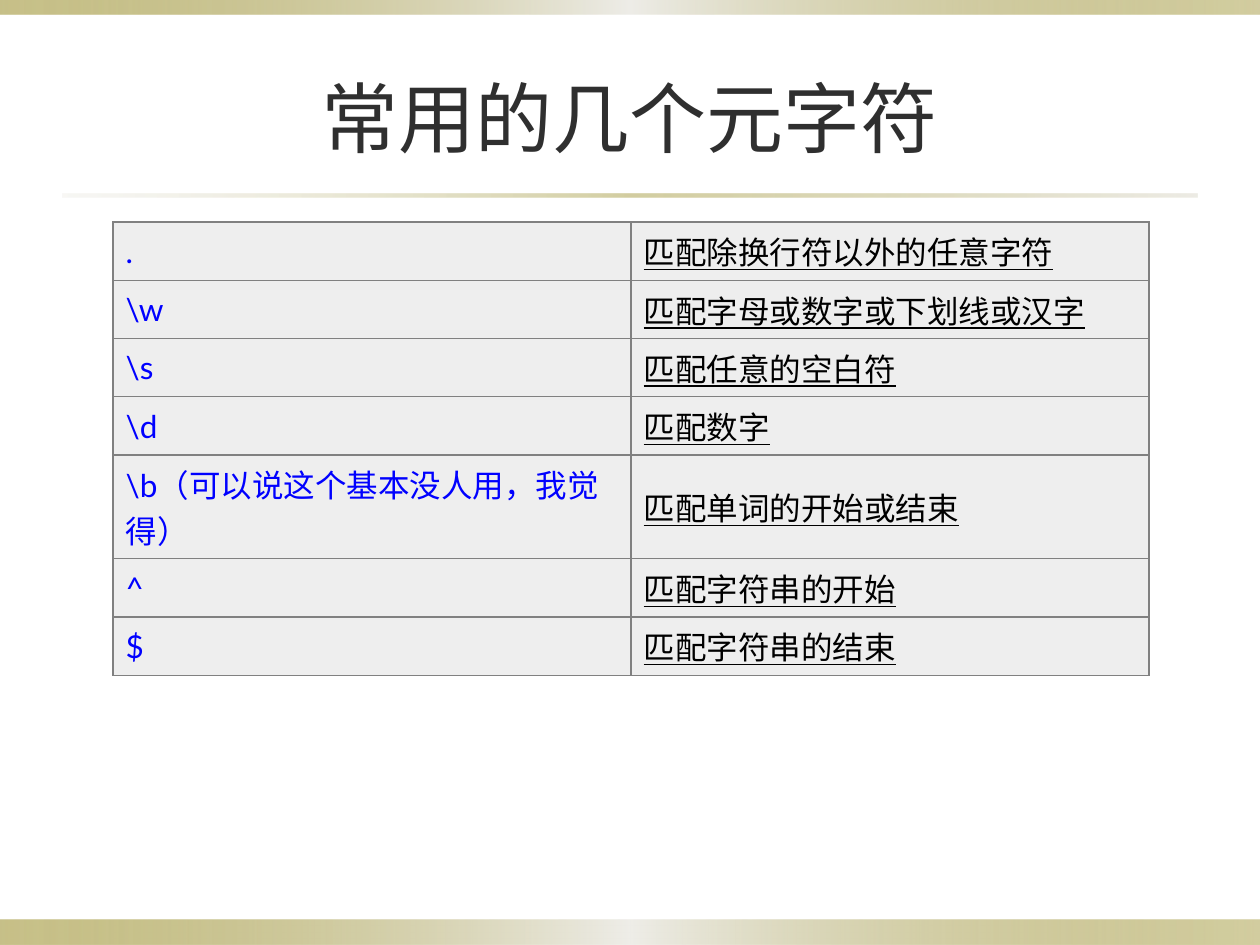
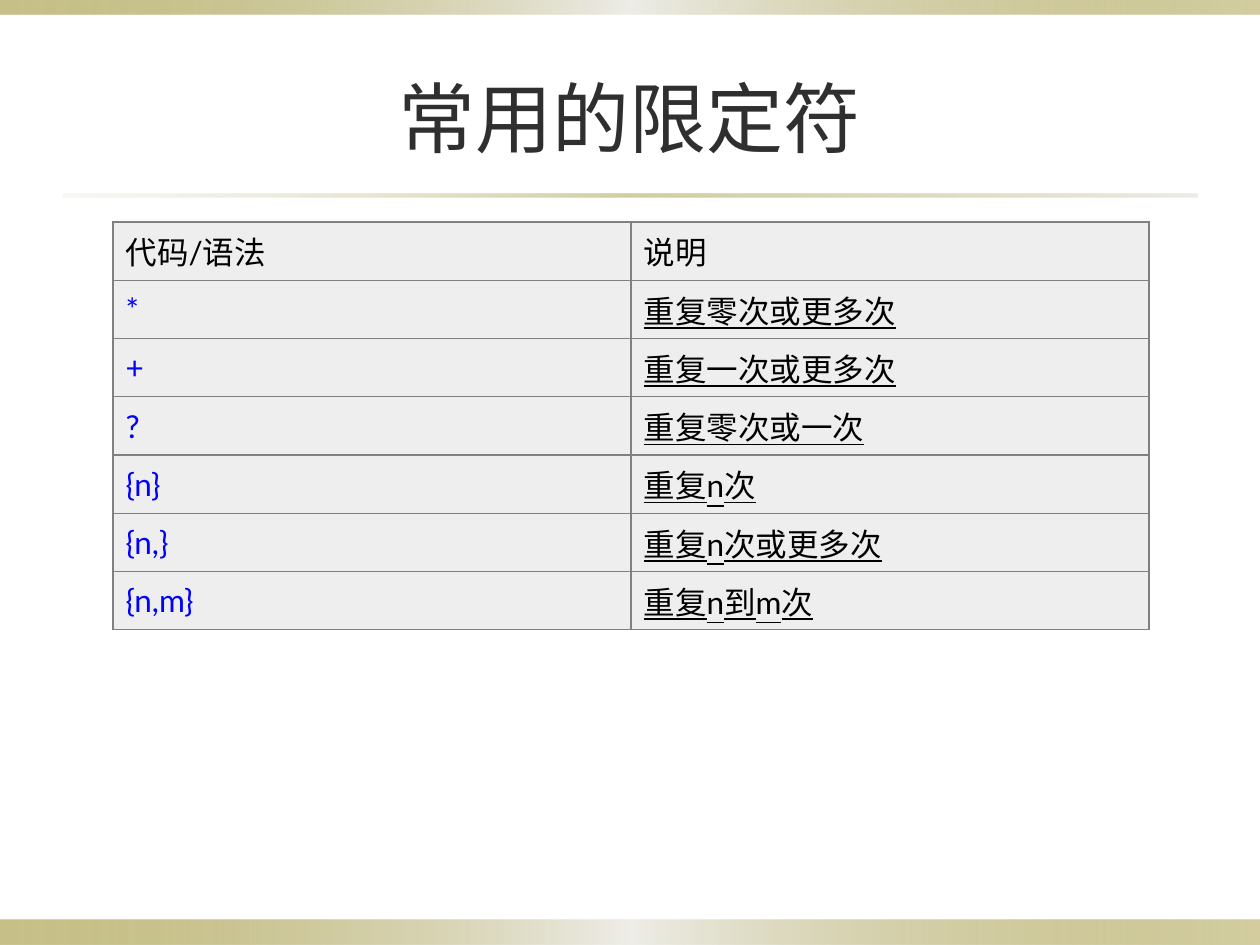
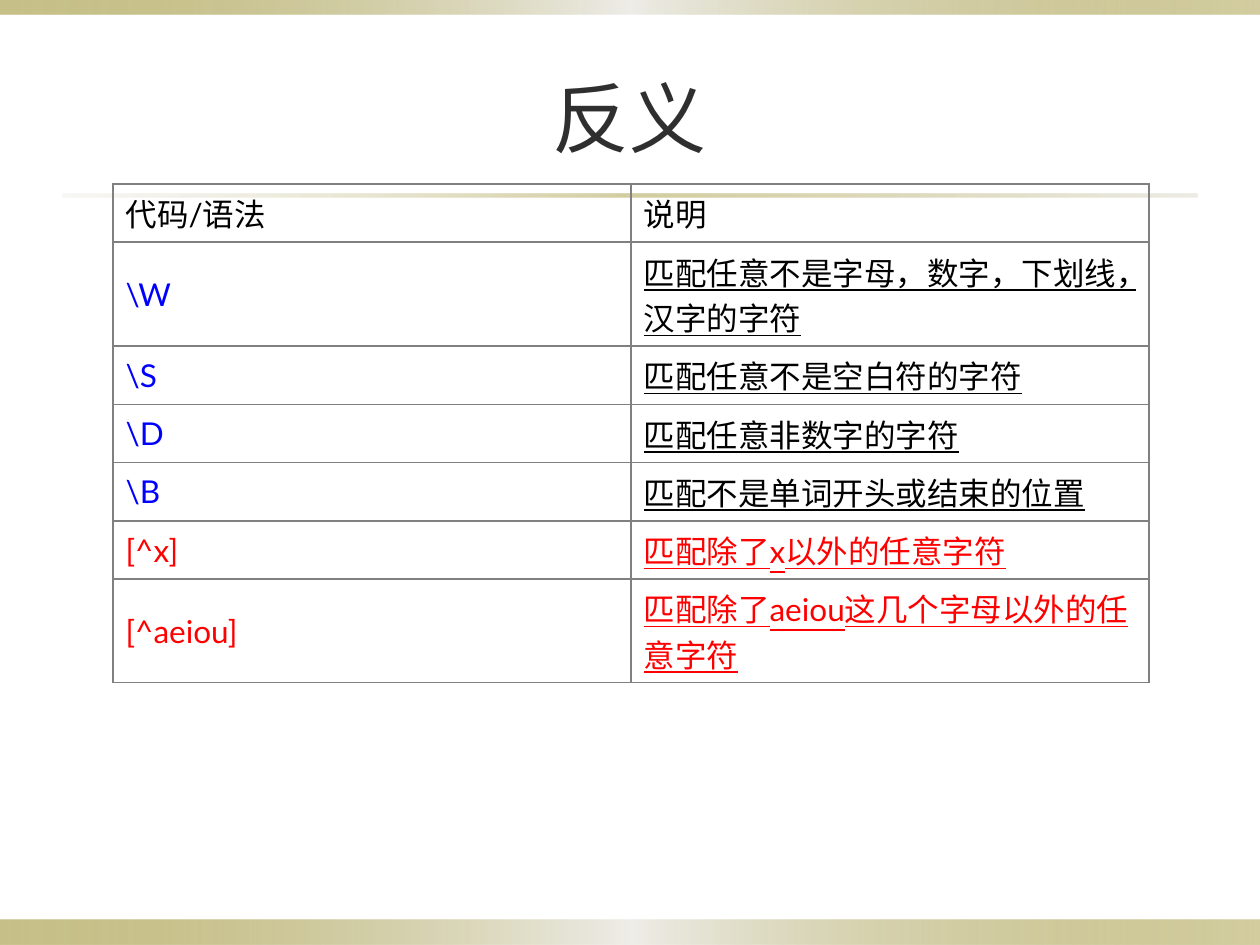
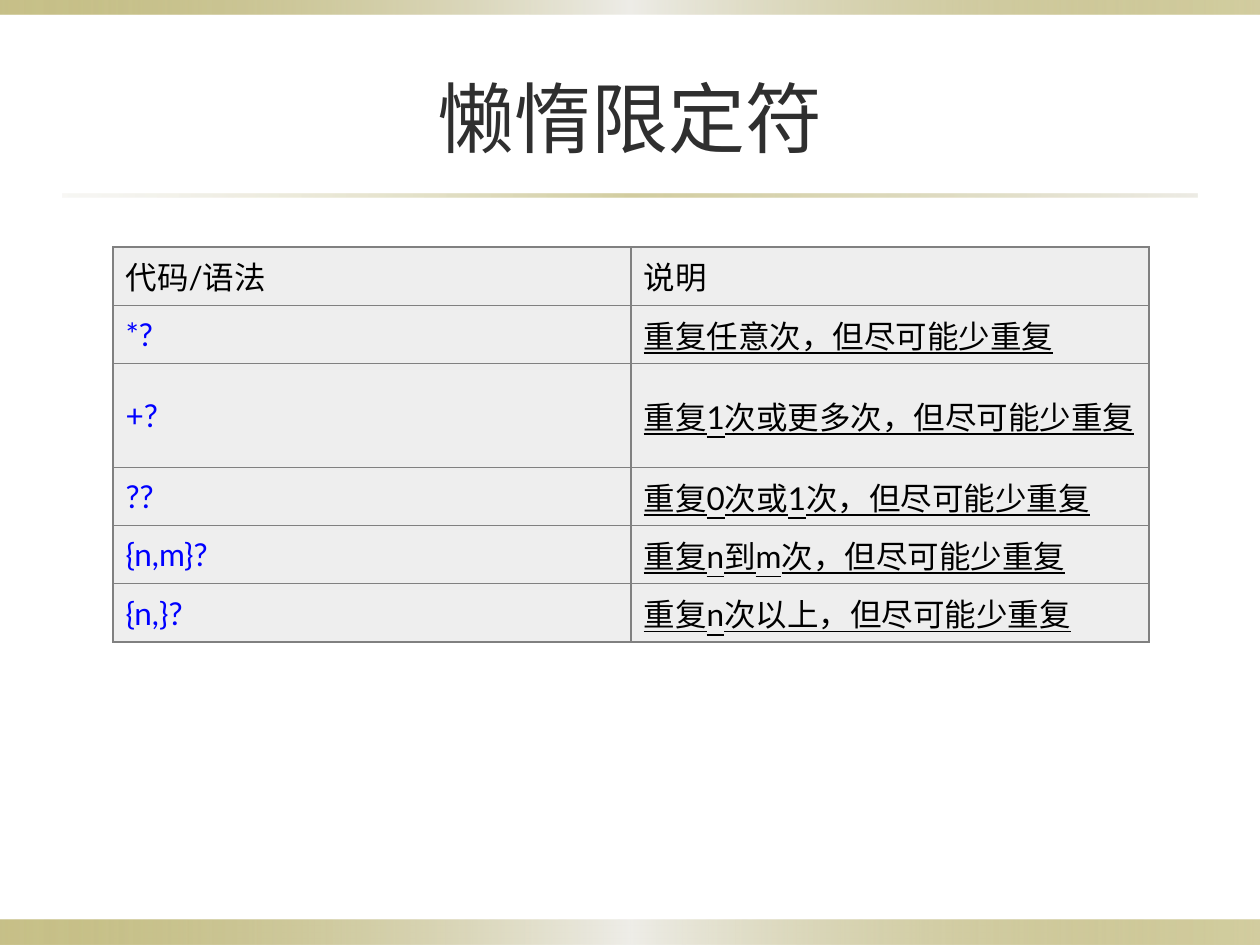
from dataclasses import dataclass

from lxml.etree import SubElement
from pptx import Presentation
from pptx.dml.color import RGBColor
from pptx.enum.shapes import MSO_SHAPE
from pptx.enum.text import MSO_ANCHOR, PP_ALIGN
from pptx.oxml.ns import qn
from pptx.util import Emu, Pt


@dataclass(frozen=True)
class Theme:
    font: str = "Lato"
    title_size: int = 44
    cell_size: int = 18
    title: str = "2F2F2F"
    text: str = "000000"
    code: str = "0000FF"
    accent: str = "FF0000"
    cell: str = "EEEEEE"
    border: str = "808080"
    thin: float = 0.75
    thick: float = 1
    # Gradient stops: position, colour, opacity, all in percent
    band: tuple = ((0, "918415", 50), (50, "EEEDE8", 100), (100, "918415", 40))
    rule: tuple = ((0, "DCD9CC", 20), (50, "918415", 40), (100, "DCD9CC", 50))


def px(length):
    return Emu(round(length * 914400 / 126))


def box_at(*lengths):
    return [px(length) for length in lengths]


class Deck:
    def __init__(self, theme):
        self.theme = theme
        self.deck = Presentation()
        self.deck.slide_width, self.deck.slide_height = box_at(1260, 945)
        self.page = None

    def new_page(self, title):
        self.page = self.deck.slides.add_slide(self.deck.slide_layouts[5])
        box = self.page.shapes.title
        box.left, box.top, box.width, box.height = box_at(63, 38, 1134, 157)
        box.text_frame.text = title
        box.text_frame.vertical_anchor = MSO_ANCHOR.MIDDLE
        para = box.text_frame.paragraphs[0]
        para.alignment = PP_ALIGN.CENTER
        self.style(para, self.theme.title_size, self.theme.title)

    def style(self, para, size, color, underline=None):
        font = para.font
        font.name, font.size, font.underline = self.theme.font, Pt(size), underline
        font.color.rgb = RGBColor.from_string(color)

    def master_bar(self, left, top, width, height, stops):
        """Draw a gradient bar and move it to the slide master."""
        bar = self.page.shapes.add_shape(
            MSO_SHAPE.RECTANGLE, *box_at(left, top, width, height))
        bar.shadow.inherit = False
        bar.line.fill.background()
        bar.fill.gradient()
        bar.fill.gradient_angle = 0
        stop_list = bar.element.spPr.find(qn("a:gradFill")).find(qn("a:gsLst"))
        for old_stop in list(stop_list):
            stop_list.remove(old_stop)
        for position, color, opacity in stops:
            stop = SubElement(stop_list, qn("a:gs"), pos=str(position * 1000))
            fill = SubElement(stop, qn("a:srgbClr"), val=color)
            SubElement(fill, qn("a:alpha"), val=str(opacity * 1000))
        # The first two children of the tree are its own properties
        self.deck.slide_master.element.cSld.spTree.insert(2, bar.element)

    def borders(self, cell, left, right, top, bottom):
        properties = cell._tc.get_or_add_tcPr()
        for side, width in zip("LRTB", (left, right, top, bottom)):
            line = SubElement(properties, qn(f"a:ln{side}"), w=str(Pt(width)))
            fill = SubElement(line, qn("a:solidFill"))
            SubElement(fill, qn("a:srgbClr"), val=self.theme.border)

    def table(self, top, rows, header=True, filled=True, tall=(), accented=()):
        """Two columns: code on the left, underlined explanation on the right."""
        theme = self.theme
        if header:
            rows = [("代码/语法", "说明"), *rows]
        heights = [88 if index in tall else 50 for index in range(len(rows))]
        table = self.page.shapes.add_table(
            len(rows), 2, *box_at(113, top, 1036, sum(heights))).table
        table.first_row = table.horz_banding = False
        strong = theme.thin if filled else theme.thick
        for row_index, row in enumerate(rows):
            table.rows[row_index].height = px(heights[row_index])
            is_header = header and row_index == 0
            is_last = row_index == len(rows) - 1
            for column, text in enumerate(row):
                cell = table.cell(row_index, column)
                cell.text = text
                cell.vertical_anchor = MSO_ANCHOR.MIDDLE
                if row_index in accented:
                    color = theme.accent
                else:
                    color = theme.text if is_header or column else theme.code
                underline = True if column and not is_header else None
                self.style(cell.text_frame.paragraphs[0], theme.cell_size,
                           color, underline)
                self.borders(cell, theme.thin, strong if column else theme.thin,
                             strong, theme.thin if is_last else strong)
                if filled:
                    cell.fill.solid()
                    cell.fill.fore_color.rgb = RGBColor.from_string(theme.cell)
                else:
                    cell.fill.background()


theme = Theme()
deck = Deck(theme)

# Metacharacters, with the bars that every page shares
deck.new_page("常用的几个元字符")
deck.master_bar(63, 194, 1134, 3, theme.rule)
deck.master_bar(0, 0, 1260, 15, theme.band)
deck.master_bar(0, 920, 1260, 25, theme.band)
deck.table(222, [
    (".", "匹配除换行符以外的任意字符"),
    ("\\w", "匹配字母或数字或下划线或汉字"),
    ("\\s", "匹配任意的空白符"),
    ("\\d", "匹配数字"),
    ("\\b（可以说这个基本没人用，我觉得）", "匹配单词的开始或结束"),
    ("^", "匹配字符串的开始"),
    ("$", "匹配字符串的结束"),
], header=False)

# Quantifiers
deck.new_page("常用的限定符")
deck.table(222, [
    ("*", "重复零次或更多次"),
    ("+", "重复一次或更多次"),
    ("?", "重复零次或一次"),
    ("{n}", "重复n次"),
    ("{n,}", "重复n次或更多次"),
    ("{n,m}", "重复n到m次"),
])

# Negated classes
deck.new_page("反义")
deck.table(184, [
    ("\\W", "匹配任意不是字母，数字，下划线，汉字的字符"),
    ("\\S", "匹配任意不是空白符的字符"),
    ("\\D", "匹配任意非数字的字符"),
    ("\\B", "匹配不是单词开头或结束的位置"),
    ("[^x]", "匹配除了x以外的任意字符"),
    ("[^aeiou]", "匹配除了aeiou这几个字母以外的任意字符"),
], filled=False, tall=(1, 6), accented=(5, 6))

# Lazy quantifiers
deck.new_page("懒惰限定符")
deck.table(247, [
    ("*?", "重复任意次，但尽可能少重复"),
    ("+?", "重复1次或更多次，但尽可能少重复"),
    ("??", "重复0次或1次，但尽可能少重复"),
    ("{n,m}?", "重复n到m次，但尽可能少重复"),
    ("{n,}?", "重复n次以上，但尽可能少重复"),
])

deck.deck.save("out.pptx")
